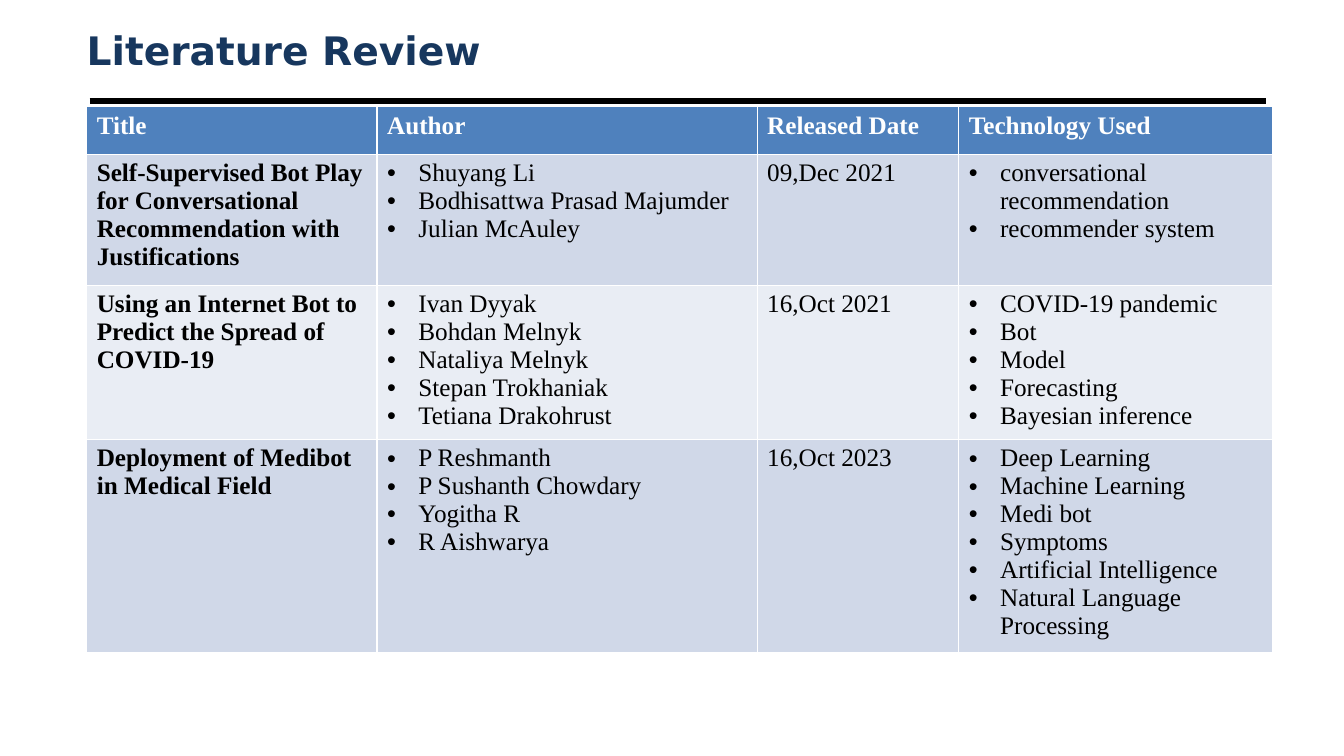
from lxml import etree
from pptx import Presentation
from pptx.dml.color import RGBColor
from pptx.enum.shapes import MSO_CONNECTOR
from pptx.enum.text import MSO_ANCHOR, PP_ALIGN
from pptx.oxml.ns import qn
from pptx.util import Inches, Pt

NAVY = RGBColor(0x17, 0x37, 0x5E)
BLUE = RGBColor(0x4F, 0x81, 0xBD)
BAND_DARK = RGBColor(0xD0, 0xD8, 0xE8)
BAND_LIGHT = RGBColor(0xE9, 0xED, 0xF4)
BLACK = RGBColor(0, 0, 0)
WHITE = RGBColor(0xFF, 0xFF, 0xFF)

ROWS = [
    (["Title"], ["Author"], ["Released Date"], ["Technology Used"]),
    (
        ["Self-Supervised Bot Play for Conversational Recommendation with Justifications"],
        ["Shuyang Li", "Bodhisattwa Prasad Majumder", "Julian McAuley"],
        ["09,Dec 2021"],
        ["conversational recommendation", "recommender system"],
    ),
    (
        ["Using an Internet Bot to Predict the Spread of COVID-19"],
        ["Ivan Dyyak", "Bohdan Melnyk", "Nataliya Melnyk", "Stepan Trokhaniak",
         "Tetiana Drakohrust"],
        ["16,Oct 2021"],
        ["COVID-19 pandemic", "Bot", "Model", "Forecasting", "Bayesian inference"],
    ),
    (
        ["Deployment of Medibot in Medical Field"],
        ["P Reshmanth", "P Sushanth Chowdary", "Yogitha R", "R Aishwarya"],
        ["16,Oct 2023"],
        ["Deep Learning", "Machine Learning", "Medi bot", "Symptoms",
         "Artificial Intelligence", "Natural Language Processing"],
    ),
]
COL_WIDTHS = [2.88, 3.77, 2, 3.11]
ROW_HEIGHTS = [0.47, 1.3, 1.53, 2.11]
BULLET_COLS = (1, 3)


def add_run(p, text, font, size, color, bold):
    r = p.add_run()
    r.text = text
    r.font.name = font
    r.font.size = Pt(size)
    r.font.color.rgb = color
    r.font.bold = bold


def add_bullet(p):
    pPr = p._p.get_or_add_pPr()
    pPr.set("marL", str(Inches(0.31)))
    pPr.set("indent", str(-Inches(0.31)))
    etree.SubElement(pPr, qn("a:buFont")).set("typeface", "Arial")
    etree.SubElement(pPr, qn("a:buChar")).set("char", "•")


prs = Presentation()
prs.slide_width = Inches(13.33)
prs.slide_height = Inches(7.5)
s = prs.slides.add_slide(prs.slide_layouts[5])

rule = s.shapes.add_connector(
    MSO_CONNECTOR.STRAIGHT, Inches(0.89), Inches(1), Inches(12.56), Inches(1))
rule.line.color.rgb = BLACK
rule.line.width = Pt(4.5)
etree.SubElement(rule._element.spPr, qn("a:effectLst"))

title = s.shapes.title
title.left, title.top = Inches(0.86), Inches(0.22)
title.width, title.height = Inches(11.65), Inches(0.6)
tf = title.text_frame
tf.margin_left = tf.margin_top = tf.margin_right = tf.margin_bottom = 0
tf.vertical_anchor = MSO_ANCHOR.MIDDLE
p = tf.paragraphs[0]
p.alignment = PP_ALIGN.LEFT
p.line_spacing = 0.9
add_run(p, "Literature Review", "DejaVu Sans", 28, NAVY, True)

table = s.shapes.add_table(
    len(ROWS), len(COL_WIDTHS), Inches(0.86), Inches(1.06),
    Inches(sum(COL_WIDTHS)), Inches(sum(ROW_HEIGHTS))).table
for col, width in zip(table.columns, COL_WIDTHS):
    col.width = Inches(width)

for i, row in enumerate(ROWS):
    table.rows[i].height = Inches(ROW_HEIGHTS[i])
    header = i == 0
    fill = BLUE if header else BAND_DARK if i % 2 else BAND_LIGHT
    for j, items in enumerate(row):
        cell = table.cell(i, j)
        cell.fill.solid()
        cell.fill.fore_color.rgb = fill
        tf = cell.text_frame
        for k, text in enumerate(items):
            p = tf.add_paragraph() if k else tf.paragraphs[0]
            if j in BULLET_COLS and not header:
                add_bullet(p)
            add_run(p, text, "Times New Roman", 18,
                    WHITE if header else BLACK, header or j == 0)

prs.save("out.pptx")
